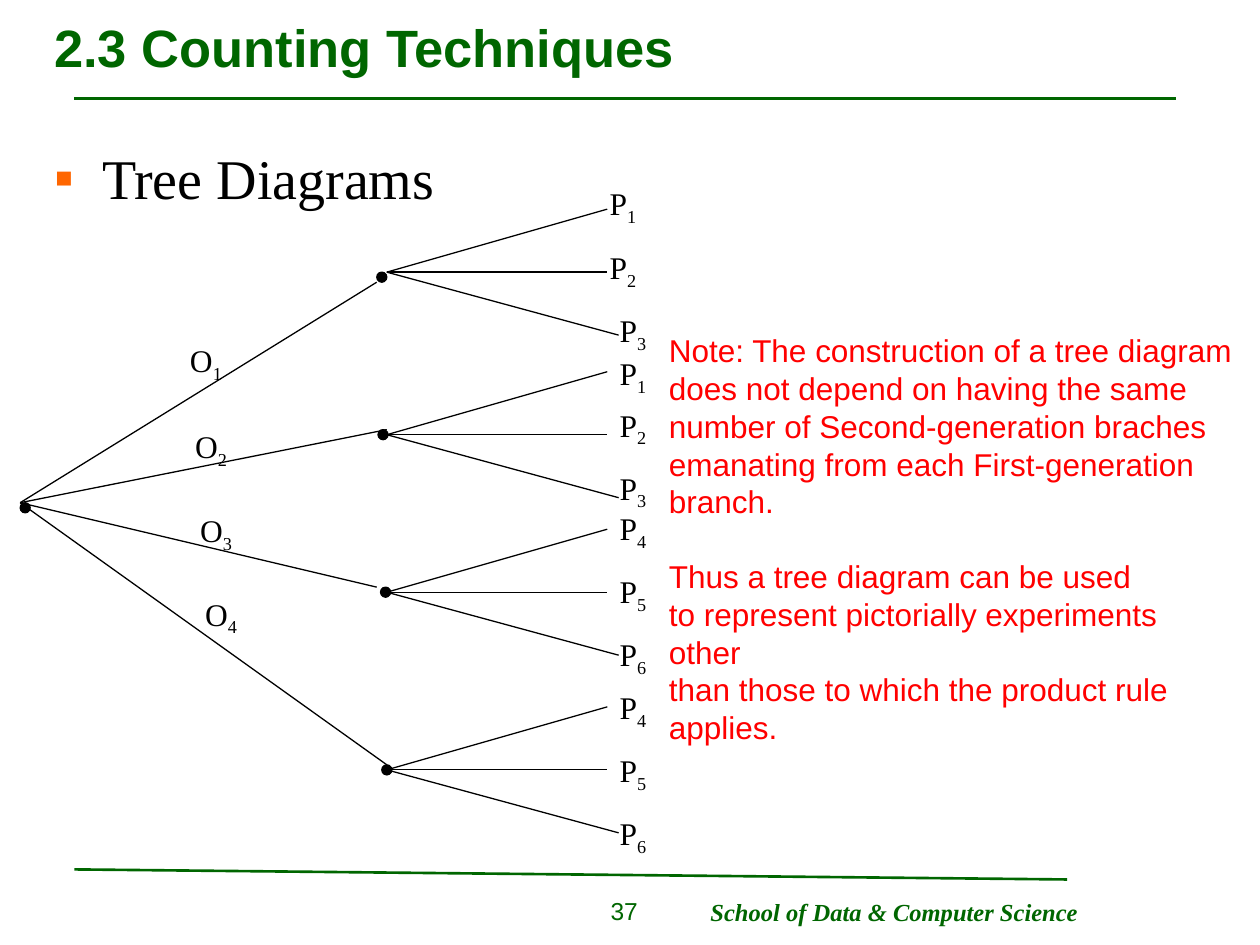
from lxml import etree
from pptx import Presentation
from pptx import util as u
from pptx.dml import color
from pptx.enum import shapes, text
from pptx.oxml import ns

Inches = u.Inches
GREEN, BLACK, RED, ORANGE = "006600", "000000", "FF0000", "FF6600"
SERIF, SANS = "Times New Roman", "Arial"


def paint(target, value):
    if hasattr(target, "solid"):
        target.solid()
        target.fore_color.rgb = color.RGBColor.from_string(value)
    else:
        target.color.rgb = color.RGBColor.from_string(value)


def add_span(para, words, size, face, value):
    span = para.add_run()
    span.text = words
    span.font.size = u.Pt(size)
    span.font.name = face
    paint(span.font, value)
    return span


deck = Presentation()
deck.slide_width, deck.slide_height = Inches(10), Inches(7.5)
page = deck.slides.add_slide(deck.slide_layouts[1])

title, body = page.placeholders
for holder, top, height in [(title, 0.03, 0.68), (body, 1.09, 5.78)]:
    holder.left, holder.top = Inches(0.33), Inches(top)
    holder.width, holder.height = Inches(9.34), Inches(height)
    holder.text_frame.auto_size = text.MSO_AUTO_SIZE.NONE

title.text_frame.vertical_anchor = text.MSO_ANCHOR.MIDDLE
para = title.text_frame.paragraphs[0]
para.alignment = text.PP_ALIGN.LEFT
add_span(para, "2.3 Counting Techniques", 30, SANS, GREEN).font.bold = True

para = body.text_frame.paragraphs[0]
props = para._p.get_or_add_pPr()
props.set("marL", str(Inches(0.38)))
props.set("indent", str(Inches(-0.38)))
bullet_color = etree.SubElement(props, ns.qn("a:buClr"))
etree.SubElement(bullet_color, ns.qn("a:srgbClr"), val=ORANGE)
etree.SubElement(props, ns.qn("a:buFont"), typeface=SANS)
etree.SubElement(props, ns.qn("a:buChar"), char="▪")
para.space_before = u.Pt(0)
add_span(para, "Tree Diagrams", 32, SERIF, BLACK)

rules = [
    (0.59, 0.78, 9.33, 0.78, GREEN, 1.5),
    (0.59, 6.9, 8.47, 6.98, GREEN, 1.5),
]
root_x, root_y = 0.16, 3.99
stems = [(2.99, 2.24), (3.07, 3.41), (2.99, 4.66), (3.07, 6.07)]
branches = [(root_x, root_y, x, y, BLACK, 0.75) for x, y in stems]
for fork_y in [2.16, 3.45, 4.7, 6.11]:
    for tip_x, rise in [(4.82, 0), (4.82, -0.5), (4.91, 0.5)]:
        branches.append((3.07, fork_y, tip_x, fork_y + rise, BLACK, 0.75))

for x1, y1, x2, y2, value, width in rules + branches:
    line = page.shapes.add_connector(
        shapes.MSO_CONNECTOR.STRAIGHT, Inches(x1), Inches(y1), Inches(x2), Inches(y2)
    )
    paint(line.line.fill, value)
    line.line.width = u.Pt(width)
    etree.SubElement(line._element.spPr, ns.qn("a:effectLst"))

nodes = [(2.99, 2.16), (3, 3.41), (3.02, 4.66), (3.03, 6.07), (root_x, root_y)]
for x, y in nodes:
    dot = page.shapes.add_shape(
        shapes.MSO_SHAPE.OVAL, Inches(x), Inches(y), Inches(0.08), Inches(0.08)
    )
    dot.shadow.inherit = False
    paint(dot.fill, BLACK)
    paint(dot.line.fill, BLACK)
    dot.line.width = u.Pt(0.75)

labels = [
    ("O", 1, 1.41, 2.66), ("O", 2, 1.45, 3.34),
    ("O", 3, 1.49, 4.01), ("O", 4, 1.53, 4.67),
    ("P", 1, 4.74, 1.41), ("P", 2, 4.74, 1.92), ("P", 3, 4.82, 2.42),
    ("P", 1, 4.82, 2.76), ("P", 2, 4.82, 3.17), ("P", 3, 4.82, 3.67),
    ("P", 4, 4.82, 3.99), ("P", 5, 4.82, 4.49), ("P", 6, 4.82, 4.99),
    ("P", 4, 4.82, 5.41), ("P", 5, 4.82, 5.91), ("P", 6, 4.82, 6.41),
]
for letter, index, x, y in labels:
    box = page.shapes.add_textbox(Inches(x), Inches(y), Inches(0.5), Inches(0.44))
    box.text_frame.word_wrap = True
    para = box.text_frame.paragraphs[0]
    add_span(para, letter, 18, SERIF, BLACK)
    subscript = add_span(para, str(index), 18, SERIF, BLACK)
    subscript.font._element.set("baseline", "-25000")

note = page.shapes.add_textbox(Inches(5.21), Inches(2.58), Inches(4.71), Inches(3.1))
note.text_frame.word_wrap = False
note.text_frame.auto_size = text.MSO_AUTO_SIZE.SHAPE_TO_FIT_TEXT
note_lines = [
    "Note: The construction of a tree diagram",
    "does not depend on having the same",
    "number of Second-generation braches",
    "emanating from each First-generation",
    "branch.",
    "Thus a tree diagram can be used",
    "to represent pictorially experiments other",
    "than those to which the product rule",
    "applies.",
]
for number, words in enumerate(note_lines):
    para = note.text_frame.add_paragraph() if number else note.text_frame.paragraphs[0]
    if words.startswith("Thus"):
        para.space_before = u.Pt(21)
    add_span(para, words, 18, SANS, RED)

box = page.shapes.add_textbox(Inches(4.14), Inches(7.06), Inches(1.02), Inches(0.36))
box.text_frame.word_wrap = True
para = box.text_frame.paragraphs[0]
para.alignment = text.PP_ALIGN.RIGHT
add_span(para, "37", 14, SANS, GREEN)

box = page.shapes.add_textbox(Inches(5.54), Inches(7.07), Inches(3.12), Inches(0.34))
box.text_frame.word_wrap = False
box.text_frame.auto_size = text.MSO_AUTO_SIZE.SHAPE_TO_FIT_TEXT
span = add_span(
    box.text_frame.paragraphs[0], "School of Data & Computer Science", 14, SERIF, GREEN
)
span.font.bold = span.font.italic = True

deck.save("out.pptx")
